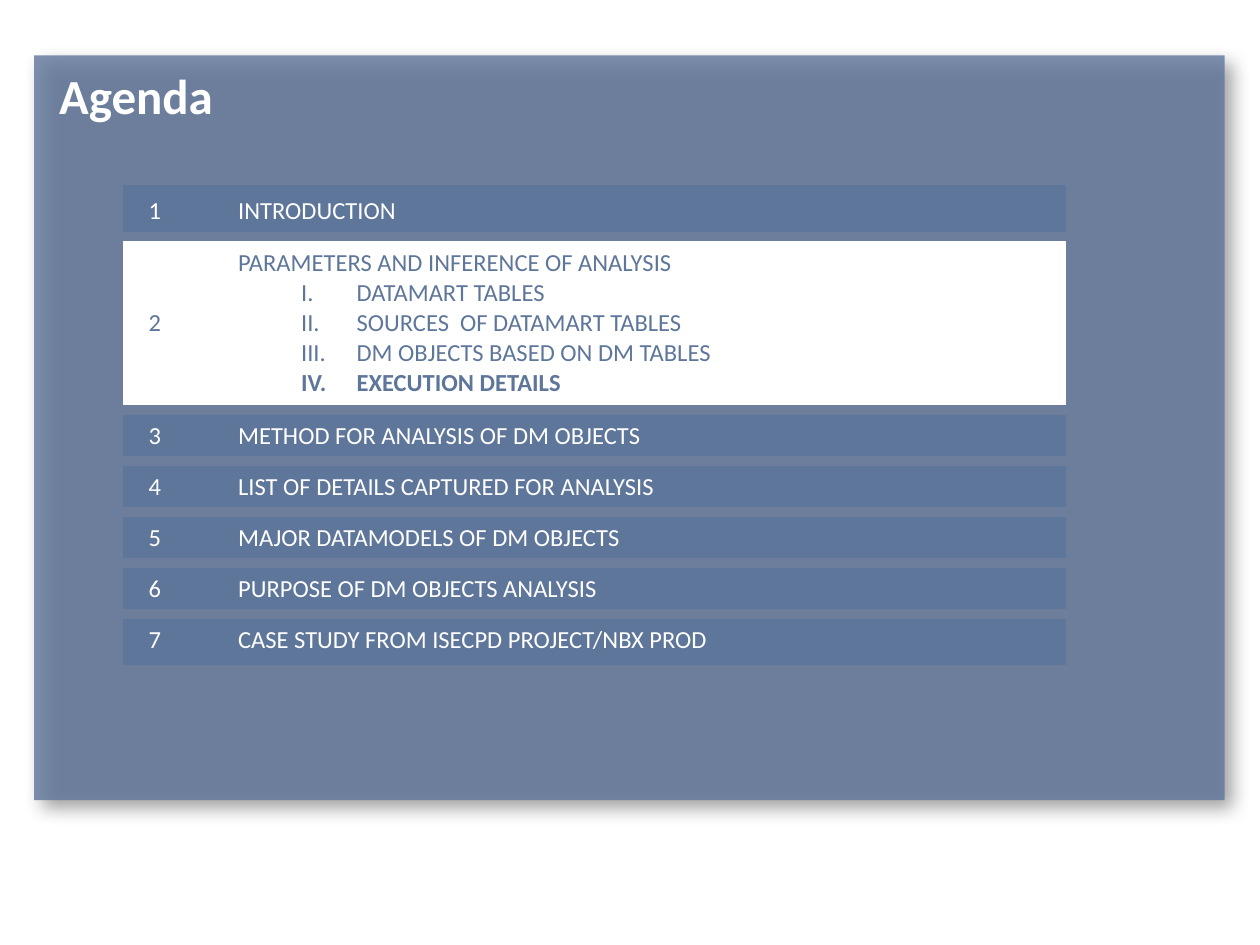
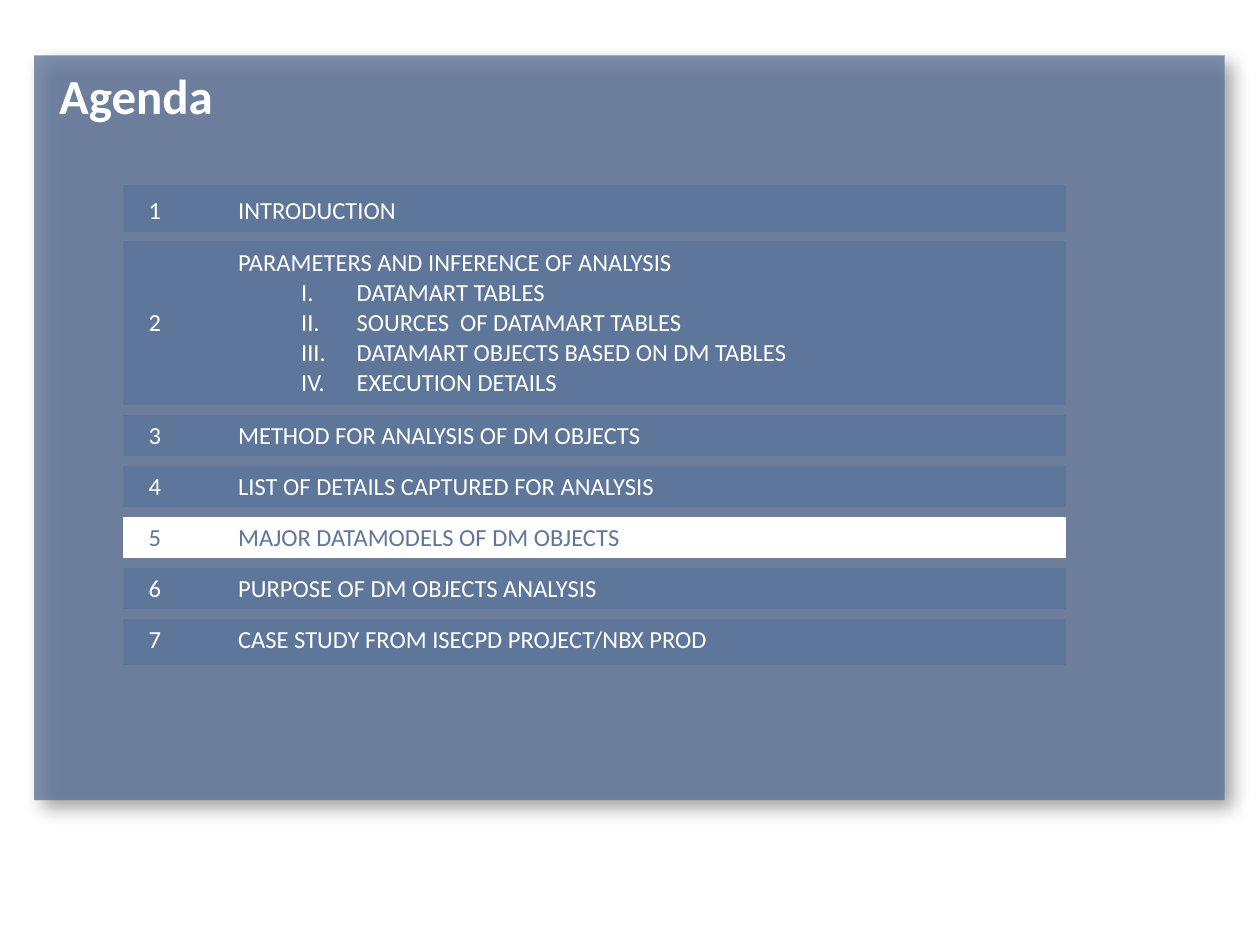
import pptx
import pptx.dml.color
import pptx.enum.shapes
import pptx.enum.text
import pptx.oxml
import pptx.oxml.ns
import pptx.util
from pptx.util import Inches

COLORS = {"blue": "5F769B", "gap": "6D7E9D", "white": "FFFFFF", "shadow": "000000"}
FONT = "Calibri"


def agenda_items(third_source):
    return [
        ("INTRODUCTION", []),
        ("PARAMETERS AND INFERENCE OF ANALYSIS",
         ["DATAMART TABLES", "SOURCES  OF DATAMART TABLES", third_source,
          "EXECUTION DETAILS"]),
        ("METHOD FOR ANALYSIS OF DM OBJECTS", []),
        ("LIST OF DETAILS CAPTURED FOR ANALYSIS", []),
        ("MAJOR DATAMODELS OF DM OBJECTS", []),
        ("PURPOSE OF DM OBJECTS ANALYSIS", []),
        ("CASE STUDY FROM ISECPD PROJECT/NBX PROD", []),
    ]


# "current" is the highlighted agenda number, "current_sub" the bold sub-item.
AGENDAS = [
    {"items": agenda_items("DM OBJECTS BASED ON DM TABLES"),
     "current": 2, "current_sub": "EXECUTION DETAILS"},
    {"items": agenda_items("DATAMART OBJECTS BASED ON DM TABLES"),
     "current": 5, "current_sub": None},
]

PANEL = (0.27, 0.44, 9.45, 5.91)
TITLE = (0.43, 0.52, 7.85, 0.71)
AGENDA = (0.98, 1.47, 7.48, 3.81)
NUMBER_WIDTH = 0.71
EXPANDED_HEIGHT = 1.38
SUB_INDENT, SUB_HANGING = 0.94, 0.44
GAP_PT = 6
NO_TABLE_STYLE = "{2D5ABB26-0587-4C30-8999-92F81FD0307C}"


def rgb(name):
    return pptx.dml.color.RGBColor.from_string(COLORS[name])


def xml(tag, content="", attributes=""):
    """Make one DrawingML element."""
    return pptx.oxml.parse_xml(
        f"<a:{tag} {pptx.oxml.ns.nsdecls('a')} {attributes}>{content}</a:{tag}>")


def box(place):
    return [Inches(length) for length in place]


def write(paragraph, text, size=14, color="white", bold=False, roman=False):
    if roman:
        properties = paragraph._p.get_or_add_pPr()
        properties.set("lvl", "1")
        properties.set("marL", str(Inches(SUB_INDENT)))
        properties.set("indent", str(-Inches(SUB_HANGING)))
        properties.append(xml("buFont", attributes='typeface="+mj-lt"'))
        properties.append(xml("buAutoNum", attributes='type="romanUcPeriod"'))
    run = paragraph.add_run()
    run.text = text
    run.font.name = FONT
    run.font.size = pptx.util.Pt(size)
    run.font.bold = bold
    run.font.color.rgb = rgb(color)


def add_panel(slide):
    panel = slide.shapes.add_shape(
        pptx.enum.shapes.MSO_SHAPE.RECTANGLE, *box(PANEL))
    panel.fill.solid()
    panel.fill.fore_color.rgb = rgb("blue")
    panel.line.fill.background()
    properties = panel.element.spPr
    fill_color = properties.find(".//" + pptx.oxml.ns.qn("a:srgbClr"))
    fill_color.append(xml("alpha", attributes='val="80000"'))
    shadow_color = f'<a:srgbClr val="{COLORS["shadow"]}"><a:alpha val="45000"/></a:srgbClr>'
    blur, distance = pptx.util.Pt(10), pptx.util.Pt(7)
    properties.append(xml("effectLst", (
        f'<a:outerShdw blurRad="{blur}" dist="{distance}" dir="2700000" '
        f'algn="tl" rotWithShape="0">{shadow_color}</a:outerShdw>')))


def add_title(slide, text):
    frame = slide.shapes.add_textbox(*box(TITLE)).text_frame
    frame.word_wrap = True
    frame.margin_left = frame.margin_right = Inches(0.04)
    frame.margin_top = frame.margin_bottom = 0
    write(frame.paragraphs[0], text, size=28, bold=True)


def format_cell(cell, fill, edges):
    cell.vertical_anchor = pptx.enum.text.MSO_ANCHOR.MIDDLE
    cell.margin_left, cell.margin_right = Inches(0.2), Inches(0.12)
    cell.margin_top = cell.margin_bottom = Inches(0.04)
    properties = cell._tc.get_or_add_tcPr()
    for edge in edges:
        properties.append(xml(
            edge, f'<a:solidFill><a:srgbClr val="{COLORS["gap"]}"/></a:solidFill>',
            f'w="{pptx.util.Pt(GAP_PT)}"'))
    cell.fill.solid()
    cell.fill.fore_color.rgb = rgb(fill)


def add_agenda(slide, items, current, current_sub):
    graphic = slide.shapes.add_table(len(items), 2, *box(AGENDA))
    table = graphic.table
    table.first_row = table.horz_banding = False
    style = graphic.element.find(".//" + pptx.oxml.ns.qn("a:tableStyleId"))
    style.text = NO_TABLE_STYLE

    table.columns[0].width = Inches(NUMBER_WIDTH)
    table.columns[1].width = Inches(AGENDA[2] - NUMBER_WIDTH)
    expanded = sum(bool(subs) for _, subs in items)
    plain_height = (AGENDA[3] - expanded * EXPANDED_HEIGHT) / (len(items) - expanded)

    for number, (heading, subs) in enumerate(items, start=1):
        row = number - 1
        table.rows[row].height = Inches(EXPANDED_HEIGHT if subs else plain_height)
        fill, color = ("white", "blue") if number == current else ("blue", "white")
        edges = ["lnT"] * (number > 1) + ["lnB"] * (number < len(items))
        number_cell, heading_cell = table.cell(row, 0), table.cell(row, 1)
        for cell, text in ((number_cell, str(number)), (heading_cell, heading)):
            format_cell(cell, fill, edges)
            write(cell.text_frame.paragraphs[0], text, color=color)
        for sub in subs:
            write(heading_cell.text_frame.add_paragraph(), sub, color=color,
                  bold=sub == current_sub, roman=True)


def main():
    deck = pptx.Presentation()
    deck.slide_width, deck.slide_height = Inches(10), Inches(7.5)
    for agenda in AGENDAS:
        slide = deck.slides.add_slide(deck.slide_layouts[6])
        add_panel(slide)
        add_title(slide, "Agenda")
        add_agenda(slide, **agenda)
    deck.save("out.pptx")


if __name__ == "__main__":
    main()
